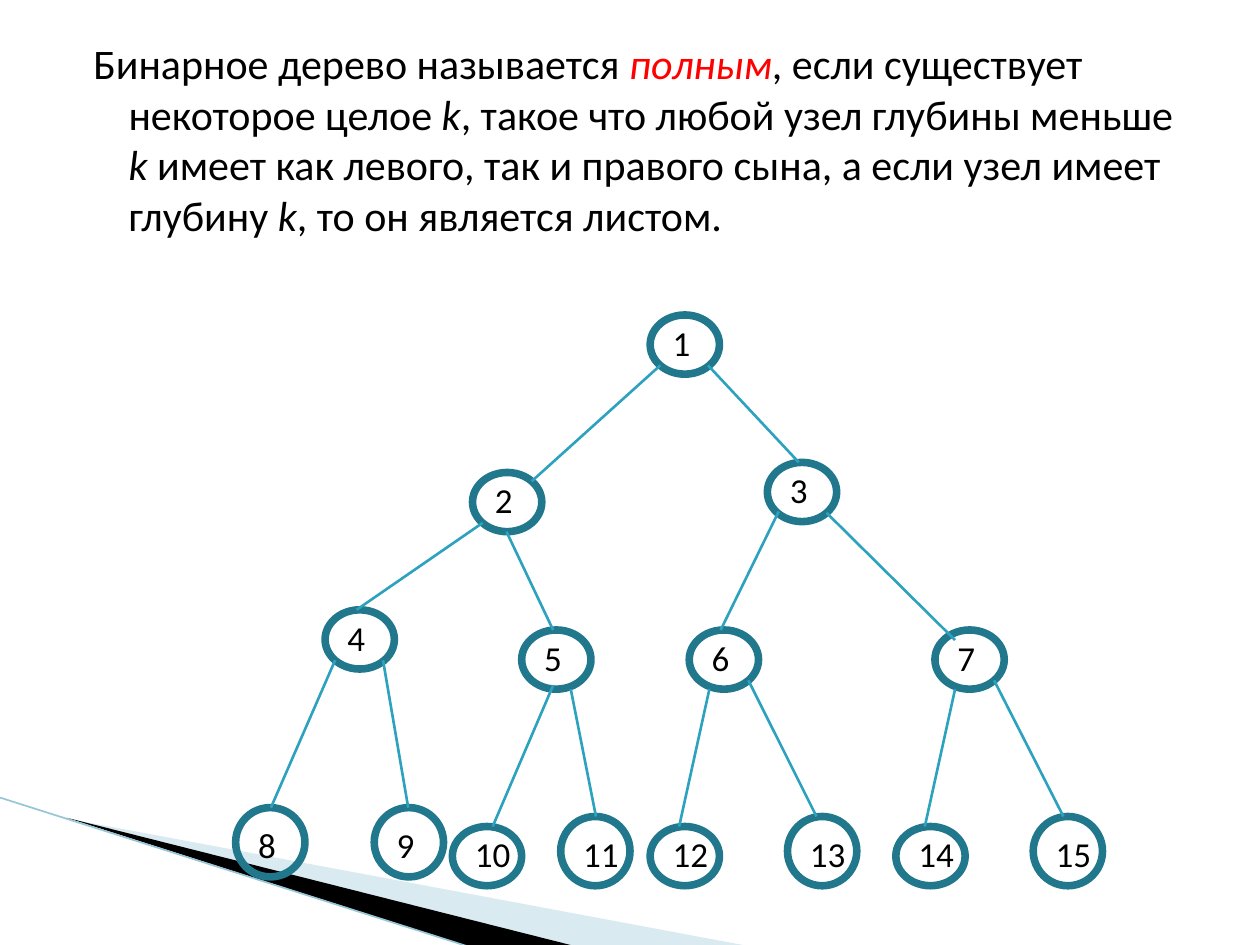
from lxml import etree
from pptx import Presentation
from pptx.dml.color import RGBColor
from pptx.enum.shapes import MSO_CONNECTOR, MSO_SHAPE
from pptx.enum.text import MSO_ANCHOR, MSO_AUTO_SIZE, PP_ALIGN
from pptx.oxml.ns import qn
from pptx.util import Inches, Pt

LINE = MSO_CONNECTOR.STRAIGHT
OVAL = MSO_SHAPE.OVAL
LEFT = PP_ALIGN.LEFT
TOP = MSO_ANCHOR.TOP
NO_FIT = MSO_AUTO_SIZE.NONE
GROW = MSO_AUTO_SIZE.SHAPE_TO_FIT_TEXT

FONT = "Calibri"
BLACK = RGBColor(0x00, 0x00, 0x00)
RED = RGBColor(0xFF, 0x00, 0x00)
RING = RGBColor(0x21, 0x78, 0x8D)
EDGE = RGBColor(0x2D, 0xA2, 0xBF)
PALE = RGBColor(0xA0, 0xCB, 0xDC)
STRIPE = RGBColor(0x97, 0xC5, 0xD8)

NODE_WIDTH = 0.55
LOW, ROUND = 0.47, 0.55  # node heights

# Definition: text, colour, italic
DEFINITION = [
    ("Бинарное дерево называется ", BLACK, False),
    ("полным", RED, True),
    (", если существует некоторое целое ", BLACK, False),
    ("k", BLACK, True),
    (", такое что любой узел глубины меньше ", BLACK, False),
    ("k", BLACK, True),
    (" имеет как левого, так и правого сына, а если узел имеет глубину ", BLACK, False),
    ("k", BLACK, True),
    (", то он является листом.", BLACK, False),
]

# Nodes in level order: left, top, height, relative to the tree
NODES = [
    (3.29, 0.00, LOW),
    (1.88, 1.25, LOW), (4.22, 1.17, LOW),
    (0.71, 2.34, LOW), (2.27, 2.50, LOW), (3.60, 2.50, LOW), (5.55, 2.50, LOW),
    (0.00, 3.91, ROUND), (1.10, 3.91, ROUND), (1.72, 4.06, LOW), (2.58, 3.98, ROUND),
    (3.29, 4.06, LOW), (4.38, 3.98, ROUND), (5.24, 4.06, LOW), (6.33, 3.98, ROUND),
]

# Edges to nodes 2 to 15: start and end, relative to the tree
EDGES = [
    (3.37, 0.40, 2.35, 1.32), (3.75, 0.40, 4.47, 1.17),
    (1.96, 1.65, 0.96, 2.34), (2.15, 1.72, 2.52, 2.50),
    (4.31, 1.56, 3.85, 2.50), (4.69, 1.57, 5.71, 2.58),
    (0.79, 2.74, 0.28, 3.91), (1.17, 2.74, 1.37, 3.91),
    (2.52, 2.94, 2.04, 4.06), (2.66, 2.97, 2.86, 3.98),
    (3.76, 2.97, 3.52, 4.06), (4.07, 2.90, 4.61, 3.98),
    (5.71, 2.97, 5.47, 4.06), (6.02, 2.90, 6.57, 3.98),
]


def add_span(para, text, size, color, italic=False):
    span = para.add_run()
    span.text = text
    span.font.name = FONT
    span.font.size = Pt(size)
    span.font.color.rgb = color
    span.font.italic = italic


def add_line(page, start_x, start_y, end_x, end_y, color, width):
    line = page.shapes.add_connector(
        LINE, Inches(start_x), Inches(start_y), Inches(end_x), Inches(end_y))
    line.line.color.rgb = color
    line.line.width = Pt(width)
    etree.SubElement(line._element.spPr, qn("a:effectLst"))


def add_wedge(page, points, color, opacity=100):
    corners = [(Inches(x), Inches(y)) for x, y in points]
    builder = page.shapes.build_freeform(*corners[0])
    builder.add_line_segments(corners[1:], close=True)
    wedge = builder.convert_to_shape()
    wedge.shadow.inherit = False
    wedge.fill.solid()
    wedge.fill.fore_color.rgb = color
    wedge.line.fill.background()
    if opacity < 100:
        tint = wedge._element.spPr.find(qn("a:solidFill"))[0]
        etree.SubElement(tint, qn("a:alpha"), val=str(opacity * 1000))


def add_corner(page, left, top):
    """Decorative wedges running off the bottom edge."""
    right, bottom = left + 5.95, top + 1.18
    add_wedge(page, [(left + 0.55, top + 0.17), (right, bottom),
                     (left + 4.56, bottom)], PALE, 40)
    add_wedge(page, [(left + 0.53, top + 0.16), (left + 4.57, bottom),
                     (left + 3.72, bottom)], BLACK)
    add_line(page, left, top, left + 3.71, bottom, STRIPE, 0.95)


def add_definition(page, left, top, width, height):
    body = page.placeholders[1]
    body.left, body.top = Inches(left), Inches(top)
    body.width, body.height = Inches(width), Inches(height)
    frame = body.text_frame
    frame.auto_size = NO_FIT
    frame.vertical_anchor = TOP
    para = frame.paragraphs[0]
    para.alignment = LEFT
    para.space_before = Pt(4)
    # Hanging indent without a bullet
    settings = para._p.get_or_add_pPr()
    settings.set("marL", str(Inches(0.4)))
    settings.set("indent", str(Inches(-0.28)))
    etree.SubElement(settings, qn("a:buNone"))
    for text, color, italic in DEFINITION:
        add_span(para, text, 24, color, italic)


def add_node(page, number, left, top, height):
    ring = page.shapes.add_shape(
        OVAL, Inches(left), Inches(top), Inches(NODE_WIDTH), Inches(height))
    ring.shadow.inherit = False
    ring.fill.background()
    ring.line.color.rgb = RING
    ring.line.width = Pt(4.33)

    label_width = 0.34 if number < 10 else 0.49
    label = page.shapes.add_textbox(
        Inches(left + 0.08), Inches(top + height - LOW),
        Inches(label_width), Inches(0.44))
    label.text_frame.word_wrap = False
    label.text_frame.auto_size = GROW
    add_span(label.text_frame.paragraphs[0], str(number), 20, BLACK)


def add_tree(page, left, top):
    for number, (x, y, height) in enumerate(NODES, start=1):
        add_node(page, number, left + x, top + y, height)
    for start_x, start_y, end_x, end_y in EDGES:
        add_line(page, left + start_x, top + start_y,
                 left + end_x, top + end_y, EDGE, 1.5)


def main():
    deck = Presentation()
    deck.slide_width, deck.slide_height = Inches(10), Inches(7.5)
    page = deck.slides.add_slide(deck.slide_layouts[1])
    # The slide has body text but no title
    title = page.shapes.title._element
    title.getparent().remove(title)

    add_corner(page, 0, 6.33)
    add_definition(page, 0.52, 0.25, 9, 1.79)
    add_tree(page, 1.87, 2.5)
    deck.save("out.pptx")


if __name__ == "__main__":
    main()
